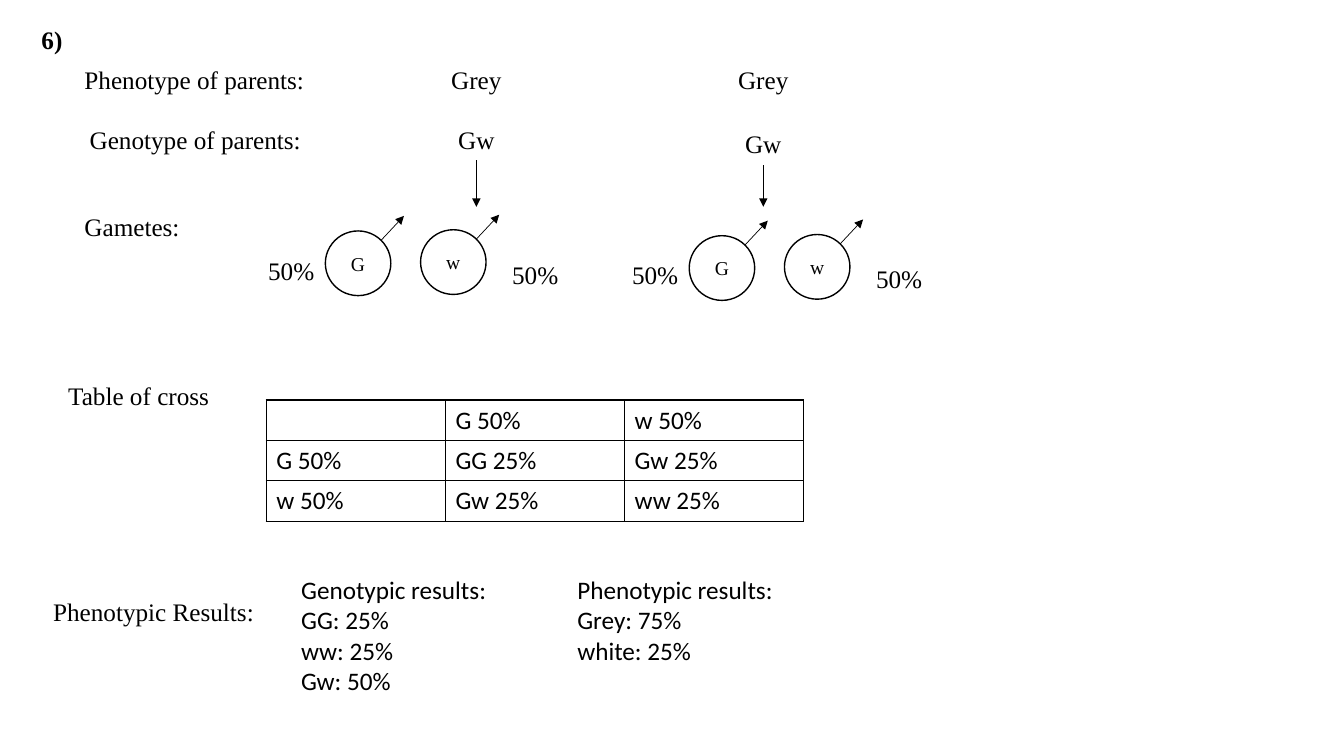
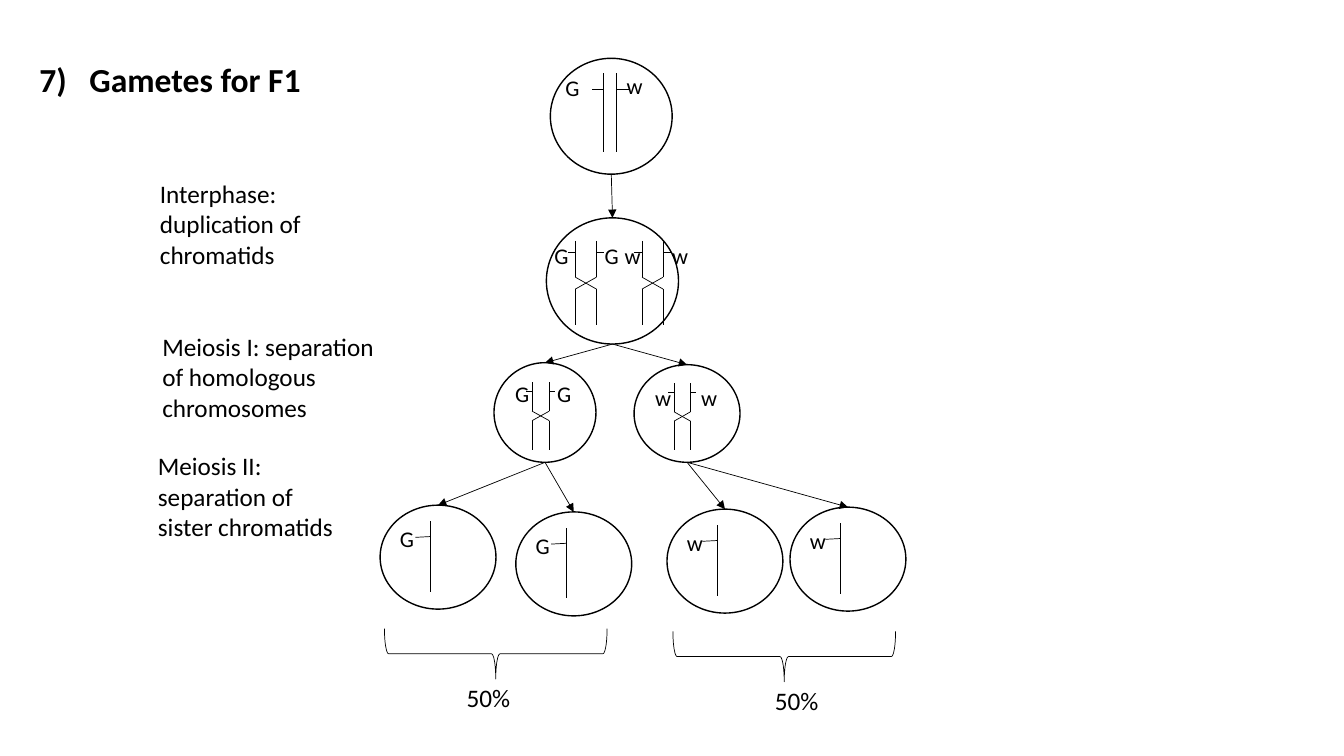
from dataclasses import dataclass

from lxml import etree
from pptx import Presentation
from pptx.dml.color import RGBColor
from pptx.enum.shapes import MSO_CONNECTOR, MSO_SHAPE
from pptx.enum.text import MSO_ANCHOR, MSO_AUTO_SIZE, PP_ALIGN
from pptx.oxml.ns import qn
from pptx.util import Cm, Pt

ELLIPSE, BRACE = MSO_SHAPE.OVAL, MSO_SHAPE.LEFT_BRACE
STRAIGHT = MSO_CONNECTOR.STRAIGHT
LEFT, CENTER = PP_ALIGN.LEFT, PP_ALIGN.CENTER
TOP, MIDDLE = MSO_ANCHOR.TOP, MSO_ANCHOR.MIDDLE
TITLE_ONLY = 5


@dataclass(frozen=True)
class Style:
    """A font with its size in points."""
    name: str
    size: float
    bold: bool = False


@dataclass(frozen=True)
class Theme:
    """Colours, line widths and type styles shared by the slides."""
    ink: RGBColor = RGBColor(0, 0, 0)
    thin: float = 0.5
    outline: float = 1
    serif: Style = Style("Times New Roman", 18)
    serif_title: Style = Style("Times New Roman", 18, True)
    allele: Style = Style("Times New Roman", 14)
    sans: Style = Style("Calibri", 18)
    sans_title: Style = Style("Calibri", 24, True)
    locus: Style = Style("Calibri", 16)


THEME = Theme()


@dataclass(frozen=True)
class Box:
    """A rectangle in centimetres."""
    x: float
    y: float
    w: float
    h: float

    def emu(self) -> tuple:
        """Return left, top, width and height as lengths."""
        return Cm(self.x), Cm(self.y), Cm(self.w), Cm(self.h)

    def top(self) -> tuple[float, float]:
        """Return the middle of the upper edge."""
        return self.x + self.w / 2, self.y

    def bottom(self) -> tuple[float, float]:
        """Return the middle of the lower edge."""
        return self.x + self.w / 2, self.y + self.h


@dataclass(frozen=True)
class Label:
    """A text at a place."""
    text: str
    x: float
    y: float
    w: float = 6.5


@dataclass(frozen=True)
class Parent:
    """One parent of the cross with the shift of its gametes."""
    x: float
    genotype_y: float
    dx: float
    dy: float


@dataclass(frozen=True)
class Chromosome:
    """A pair of crossed chromatids and the offsets of their letters."""
    letter: str
    x: float
    y: float
    gap: float
    h: float
    left: float
    right: float
    dy: float


@dataclass(frozen=True)
class Gamete:
    """A final cell holding one chromatid."""
    letter: str
    box: Box


LABELS = (
    Label("Phenotype of parents:", 1.88, 1.5),
    Label("Genotype of parents:", 2.01, 3),
    Label("Gametes:", 1.88, 5.21),
    Label("Table of cross", 1.47, 9.47),
    Label("Phenotypic Results:", 1.09, 14.91),
)
PARENTS = (Parent(9.58, 3, 0, 0), Parent(16.81, 3.12, 9.17, 0.12))
ALLELES = (Label("G", 8.2, 5.82), Label("w", 10.6, 5.79))
SHARES = (Label("50%", 6.22, 6.3, 2.24), Label("50%", 12.37, 6.4, 2.24))
CROSS = (("", "G 50%", "w 50%"), ("G 50%", "GG 25%", "Gw 25%"), ("w 50%", "Gw 25%", "ww 25%"))
RESULTS = (
    Label("Genotypic results:\nGG: 25%\nww: 25%\nGw: 50%", 7.34, 14.35, 5.26),
    Label("Phenotypic results:\nGrey: 75%\nwhite: 25%", 14.3, 14.35, 5.49),
)

F1_CELL = Box(13.87, 1.47, 3.07, 2.92)
DOUBLED_CELL = Box(13.77, 5.49, 3.33, 3.18)
G_CELL = Box(12.45, 9.14, 2.57, 2.51)
W_CELL = Box(15.98, 9.19, 2.67, 2.46)
CHROMOSOMES = (
    Chromosome("G", 14.5, 6.07, 0.53, 2.13, -0.78, 0.49, -0.09),
    Chromosome("w", 16.18, 6.07, 0.53, 2.13, -0.69, 0.51, -0.09),
    Chromosome("G", 13.41, 9.63, 0.43, 1.7, -0.68, 0.38, -0.17),
    Chromosome("w", 16.99, 9.66, 0.41, 1.67, -0.73, 0.43, -0.11),
)
GAMETES = tuple(Gamete(letter, Box(x, y, 2.92, 2.62)) for letter, x, y in (
    ("G", 9.58, 12.73), ("G", 13, 12.9), ("w", 16.81, 12.83), ("w", 19.91, 12.78)))
DIVISIONS = ((F1_CELL, DOUBLED_CELL), (DOUBLED_CELL, G_CELL), (DOUBLED_CELL, W_CELL),
             *((G_CELL, g.box) for g in GAMETES[:2]), *((W_CELL, g.box) for g in GAMETES[2:]))
BRACES = (Box(11.86, 13.67, 1.27, 5.61), Box(19.13, 13.74, 1.27, 5.61))
NOTES = (
    Label("50%", 11.51, 17.07),
    Label("50%", 19.28, 17.15),
    Label("Interphase: duplication of chromatids", 3.78, 4.37, 5.89),
    Label("Meiosis I: separation of homologous chromosomes", 3.84, 8.23, 5.84),
    Label("Meiosis II: separation of sister chromatids", 3.73, 11.23, 5.05),
)


def write(tf, text: str, style: Style, align=LEFT) -> None:
    """Fill a text frame with one paragraph a line."""
    for i, line in enumerate(text.split("\n")):
        p = tf.add_paragraph() if i else tf.paragraphs[0]
        p.alignment = align
        r = p.add_run()
        r.text = line
        fmt = {"name": style.name, "size": Pt(style.size), "bold": style.bold}
        for key, value in fmt.items():
            setattr(r.font, key, value)
        r.font.color.rgb = THEME.ink


def add_text(s, label: Label, style: Style, align=LEFT) -> None:
    """Add a wrapped text box."""
    box = Box(label.x, label.y, label.w, 1.02)
    tf = s.shapes.add_textbox(*box.emu()).text_frame
    tf.word_wrap = True
    write(tf, label.text, style, align)


def add_title(s, text: str, box: Box, style: Style) -> None:
    """Place and format the title with a hanging number."""
    sp = s.shapes.title
    sp.left, sp.top, sp.width, sp.height = box.emu()
    tf = sp.text_frame
    fmt = {"vertical_anchor": TOP, "auto_size": MSO_AUTO_SIZE.NONE, "word_wrap": True}
    for key, value in fmt.items():
        setattr(tf, key, value)
    write(tf, text, style)
    indent = Cm(1.26)
    props = tf.paragraphs[0]._p.get_or_add_pPr()
    props.set("marL", str(indent))
    props.set("indent", str(-indent))


def add_outline(s, kind, box: Box, width: float):
    """Add an unfilled shape with a black outline."""
    sp = s.shapes.add_shape(kind, *box.emu())
    sp.shadow.inherit = False
    sp.fill.background()
    sp.line.color.rgb = THEME.ink
    sp.line.width = Pt(width)
    return sp


def add_line(s, start: tuple[float, float], end: tuple[float, float], arrow: bool = False) -> None:
    """Add a thin line, with an arrowhead at its end if asked."""
    sp = s.shapes.add_connector(STRAIGHT, *(Cm(v) for v in (*start, *end)))
    sp.line.color.rgb = THEME.ink
    sp.line.width = Pt(THEME.thin)
    if arrow:
        etree.SubElement(sp.line._get_or_add_ln(), qn("a:tailEnd"), type="triangle")
    etree.SubElement(sp._element.spPr, qn("a:effectLst"))


def add_allele(s, letter: str, x: float, y: float) -> None:
    """Add a lettered gamete with its arrow."""
    sp = add_outline(s, ELLIPSE, Box(x, y, 1.65, 1.63), THEME.outline)
    tf = sp.text_frame
    tf.vertical_anchor = MIDDLE
    write(tf, letter, THEME.allele, CENTER)
    add_line(s, (x + 1.4, y + 0.24), (x + 1.98, y - 0.38), True)


def add_parent(s, parent: Parent) -> None:
    """Add the phenotype, genotype and gametes of a parent."""
    width = 4.85
    add_text(s, Label("Grey", parent.x, 1.5, width), THEME.serif, CENTER)
    add_text(s, Label("Gw", parent.x, parent.genotype_y, width), THEME.serif, CENTER)
    middle = parent.x + width / 2
    add_line(s, (middle, parent.genotype_y + 1.04), (middle, 5.21), True)
    for a in ALLELES:
        add_allele(s, a.text, a.x + parent.dx, a.y + parent.dy)
    for a in SHARES:
        add_text(s, Label(a.text, a.x + parent.dx, a.y + parent.dy, a.w), THEME.serif, CENTER)


def add_cross_table(s, box: Box) -> None:
    """Add the table of the cross with a full grid."""
    table = s.shapes.add_table(len(CROSS), len(CROSS[0]), *box.emu()).table
    table.first_row = table.horz_banding = False
    for i, row in enumerate(CROSS):
        for j, text in enumerate(row):
            cell = table.cell(i, j)
            cell.fill.background()
            if text:
                write(cell.text_frame, text, THEME.sans)
            props = cell._tc.get_or_add_tcPr()
            for k, side in enumerate(("a:lnL", "a:lnR", "a:lnT", "a:lnB")):
                ln = etree.Element(qn(side), w=str(Pt(THEME.outline)))
                fill = etree.SubElement(ln, qn("a:solidFill"))
                etree.SubElement(fill, qn("a:srgbClr"), val=str(THEME.ink))
                props.insert(k, ln)


def add_chromosome(s, c: Chromosome) -> None:
    """Add two crossed chromatids with marked loci."""
    upper, lower, locus = (c.y + c.h * part for part in (0.43, 0.57, 0.14))
    right = c.x + c.gap
    tick = c.h * 0.09
    for x, other, out, shift in ((c.x, right, -tick, c.left), (right, c.x, tick, c.right)):
        add_line(s, (x, c.y), (x, upper))
        add_line(s, (x, upper), (other, lower))
        add_line(s, (x, lower), (x, c.y + c.h))
        add_line(s, (x, locus), (x + out, locus))
        add_text(s, Label(c.letter, c.x + shift, c.y + c.dy, 1), THEME.locus)


def add_gamete(s, gamete: Gamete) -> None:
    """Add a final cell with one marked chromatid."""
    box = gamete.box
    x, locus = box.x + 1.27, box.y + 0.79
    add_outline(s, ELLIPSE, box, THEME.outline)
    add_line(s, (x, box.y + 0.41), (x, box.y + 2.18))
    add_line(s, (x, locus), (x - 0.38, locus + 0.02))
    add_text(s, Label(gamete.letter, box.x + 0.25, box.y + 0.39, 1), THEME.locus)


def add_f1_cell(s) -> None:
    """Add the starting cell with its two homologous chromosomes."""
    add_outline(s, ELLIPSE, F1_CELL, THEME.outline)
    for x, tick_x, label in ((15.21, 14.91, Label("G", 14, 1.75, 1)),
                             (15.54, 15.85, Label("w", 15.54, 1.7, 1))):
        add_line(s, (x, 1.85), (x, 3.84))
        add_line(s, (x, 2.26), (tick_x, 2.26))
        add_text(s, label, THEME.locus)


def build_cross(s) -> None:
    """Build the slide with the cross of two grey parents."""
    add_title(s, "6)", Box(0.79, 0.48, 2, 1.02), THEME.serif_title)
    for label in LABELS:
        add_text(s, label, THEME.serif)
    for parent in PARENTS:
        add_parent(s, parent)
    add_cross_table(s, Box(6.71, 10.08, 13.55, 3.05))
    for label in RESULTS:
        add_text(s, label, THEME.sans)


def build_meiosis(s) -> None:
    """Build the slide with the formation of gametes."""
    add_title(s, "7)\tGametes for F1", Box(0.74, 1.35, 8.38, 1.27), THEME.sans_title)
    add_f1_cell(s)
    for box in (DOUBLED_CELL, G_CELL, W_CELL):
        add_outline(s, ELLIPSE, box, THEME.outline)
    for chromosome in CHROMOSOMES:
        add_chromosome(s, chromosome)
    for gamete in GAMETES:
        add_gamete(s, gamete)
    for mother, daughter in DIVISIONS:
        add_line(s, mother.bottom(), daughter.top(), True)
    for box in BRACES:
        add_outline(s, BRACE, box, THEME.thin).rotation = 270
    for label in NOTES:
        add_text(s, label, THEME.sans)


def main() -> None:
    """Build and save the presentation."""
    prs = Presentation()
    prs.slide_width, prs.slide_height = Cm(33.87), Cm(19.05)
    for build in (build_cross, build_meiosis):
        build(prs.slides.add_slide(prs.slide_layouts[TITLE_ONLY]))
    prs.save("out.pptx")


if __name__ == "__main__":
    main()
